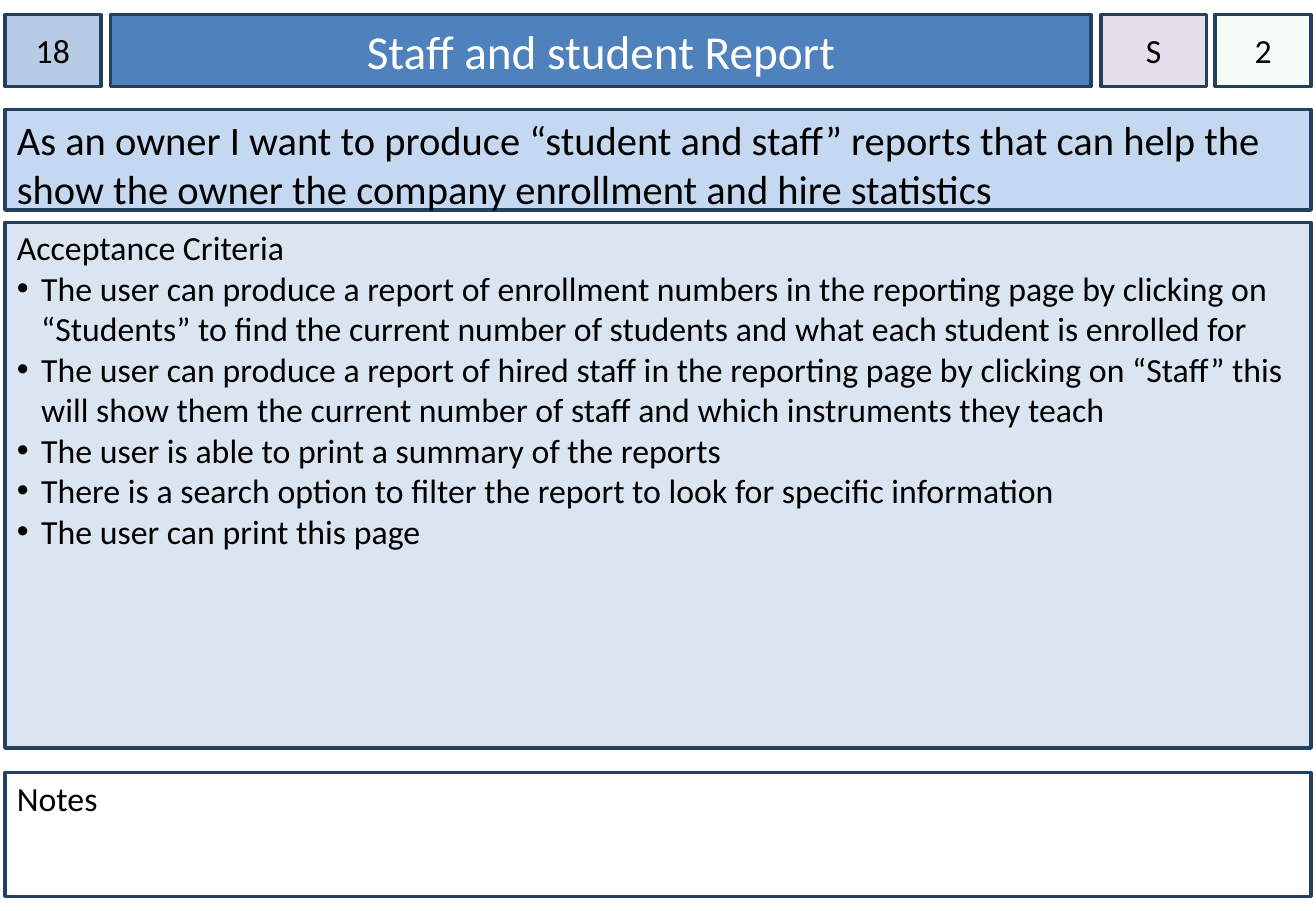
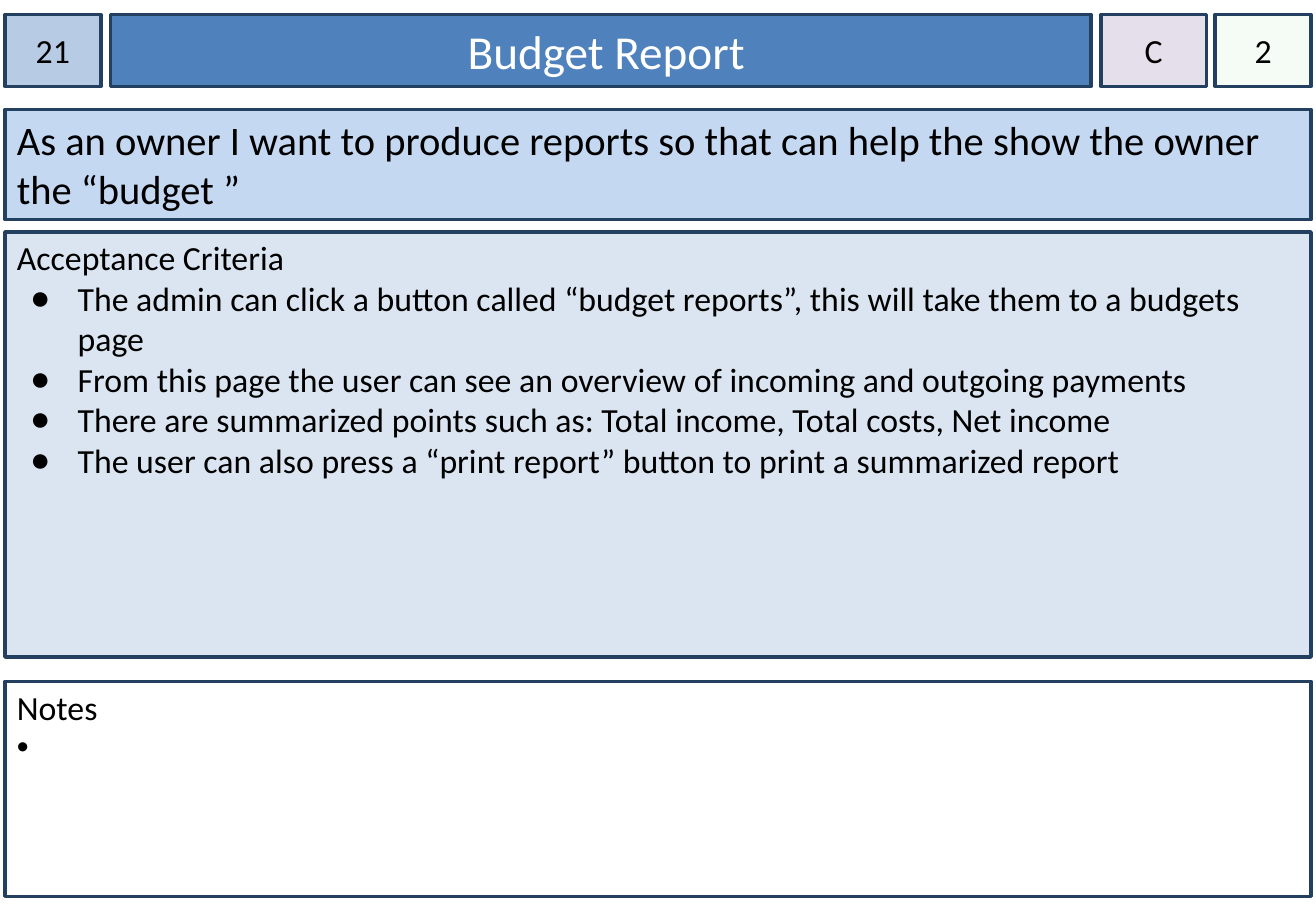
"""Build two user story cards, each with a header row, story, criteria and notes."""
from lxml.etree import SubElement
from pptx import Presentation
from pptx.dml.color import RGBColor
from pptx.enum.shapes import MSO_SHAPE as Shape
from pptx.enum.text import MSO_ANCHOR as Anchor, MSO_AUTO_SIZE as AutoSize, PP_ALIGN as Align
from pptx.oxml.ns import qn
from pptx.util import Inches, Pt

COLORS = {
    "outline": "244061", "text": "000000", "title_text": "FFFFFF",
    "number": "B7CCE4", "title": "4F81BD", "story": "C5D8F1", "criteria": "DAE5F1",
    "priority": "E5DFEC", "estimate": "CCF0CD", "notes": "FFFFFF",
}
FONT = "Calibri"
LEFT, WIDTH = 0.04, 10.75
HEADER_TOP, HEADER_HEIGHT = 0.12, 0.59
STORY_TOP, STORY_GAP = 0.9, 0.1
NOTES_GAP, BOTTOM = 0.2, 7.38

CARDS = [
    {
        "number": "18", "title": "Staff and student Report", "priority": "S", "estimate": "2",
        "story": "As an owner I want to produce “student and staff” reports that can help the "
                 "show the owner the company enrollment and hire statistics",
        "criteria": [
            "The user can produce a report of enrollment numbers in the reporting page by clicking on "
            "“Students” to find the current number of students and what each student is enrolled for",
            "The user can produce a report of hired staff in the reporting page by clicking on “Staff” "
            "this will show them the current number of staff and which instruments they teach",
            "The user is able to print a summary of the reports",
            "There is a search option to filter the report to look for specific information",
            "The user can print this page",
        ],
        "notes": [], "bullet": ("•", 0.2, 0.2), "story_height": 0.83, "notes_top": 6.36,
    },
    {
        "number": "21", "title": " Budget Report", "priority": "C", "estimate": "2",
        "story": "As an owner I want to produce reports so that can help the show the owner "
                 "the “budget ”",
        "criteria": [
            "The admin can click a button called “budget reports”, this will take them to a budgets page",
            "From this page the user can see an overview of incoming and outgoing payments",
            "There are summarized points such as: Total income, Total costs, Net income",
            "The user can also press a “print report” button to print a summarized report",
        ],
        "notes": [" "], "bullet": ("●", 0.5, 0.39), "story_height": 0.91, "notes_top": 5.61,
    },
]


def style_box(box, name, place, side_inset=0.1, top_inset=0.05, anchor=Anchor.TOP):
    """Place a box and give it the shared outline, fill and text frame."""
    box.left, box.top, box.width, box.height = [Inches(length) for length in place]
    box.shadow.inherit = False
    box.fill.solid()
    box.fill.fore_color.rgb = RGBColor.from_string(COLORS[name])
    box.line.color.rgb = RGBColor.from_string(COLORS["outline"])
    box.line.width = Pt(2)
    frame = box.text_frame
    frame.word_wrap = True
    frame.auto_size = AutoSize.NONE
    frame.vertical_anchor = anchor
    frame.margin_left = frame.margin_right = Inches(side_inset)
    frame.margin_top, frame.margin_bottom = Inches(top_inset), Inches(0.05)


def write(para, text, size=20, align=Align.LEFT, color="text", bullet=None):
    """Write one paragraph, with an optional bullet of (mark, margin, hanging)."""
    para.alignment = align
    if bullet:
        mark, margin, hanging = bullet
        properties = para._p.get_or_add_pPr()
        properties.set("marL", str(Inches(margin)))
        properties.set("indent", str(-Inches(hanging)))
        bullet_color = SubElement(properties, qn("a:buClr"))
        SubElement(bullet_color, qn("a:srgbClr"), val=COLORS["text"])
        SubElement(properties, qn("a:buFont"), typeface="Arial")
        SubElement(properties, qn("a:buChar"), char=mark)
    span = para.add_run()
    span.text = text
    span.font.name = FONT
    span.font.size = Pt(size)
    span.font.color.rgb = RGBColor.from_string(COLORS[color])


deck = Presentation()
deck.slide_width, deck.slide_height = Inches(10.83), Inches(7.5)

for card in CARDS:
    page = deck.slides.add_slide(deck.slide_layouts[5])

    title = page.shapes.title
    style_box(title, "title", (0.91, HEADER_TOP, 8.07, HEADER_HEIGHT), anchor=Anchor.MIDDLE)
    write(title.text_frame.paragraphs[0], card["title"], 28, Align.CENTER, "title_text")

    for name, left, width in [("number", LEFT, 0.79), ("priority", 9.06, 0.87), ("estimate", 10, 0.79)]:
        box = page.shapes.add_shape(Shape.RECTANGLE, 0, 0, 0, 0)
        style_box(box, name, (left, HEADER_TOP, width, HEADER_HEIGHT), 0, anchor=Anchor.MIDDLE)
        write(box.text_frame.paragraphs[0], card[name], align=Align.CENTER)
        if name == "estimate":
            fill_color = box.fill._xPr.find(qn("a:solidFill"))[0]
            SubElement(fill_color, qn("a:alpha"), val="20000")

    story = page.shapes.add_shape(Shape.RECTANGLE, 0, 0, 0, 0)
    style_box(story, "story", (LEFT, STORY_TOP, WIDTH, card["story_height"]))
    write(story.text_frame.paragraphs[0], card["story"], 24)

    criteria_top = STORY_TOP + card["story_height"] + STORY_GAP
    notes_top = card["notes_top"]
    panels = [
        ("criteria", "Acceptance Criteria", criteria_top, notes_top - NOTES_GAP, card["bullet"]),
        ("notes", "Notes", notes_top, BOTTOM, ("•", 0.2, 0.2)),
    ]
    for name, heading, top, bottom, bullet in panels:
        panel = page.shapes.add_shape(Shape.RECTANGLE, 0, 0, 0, 0)
        style_box(panel, name, (LEFT, top, WIDTH, bottom - top), top_inset=0.04)
        write(panel.text_frame.paragraphs[0], heading)
        for item in card[name]:
            write(panel.text_frame.add_paragraph(), item, bullet=bullet)

deck.save("out.pptx")
